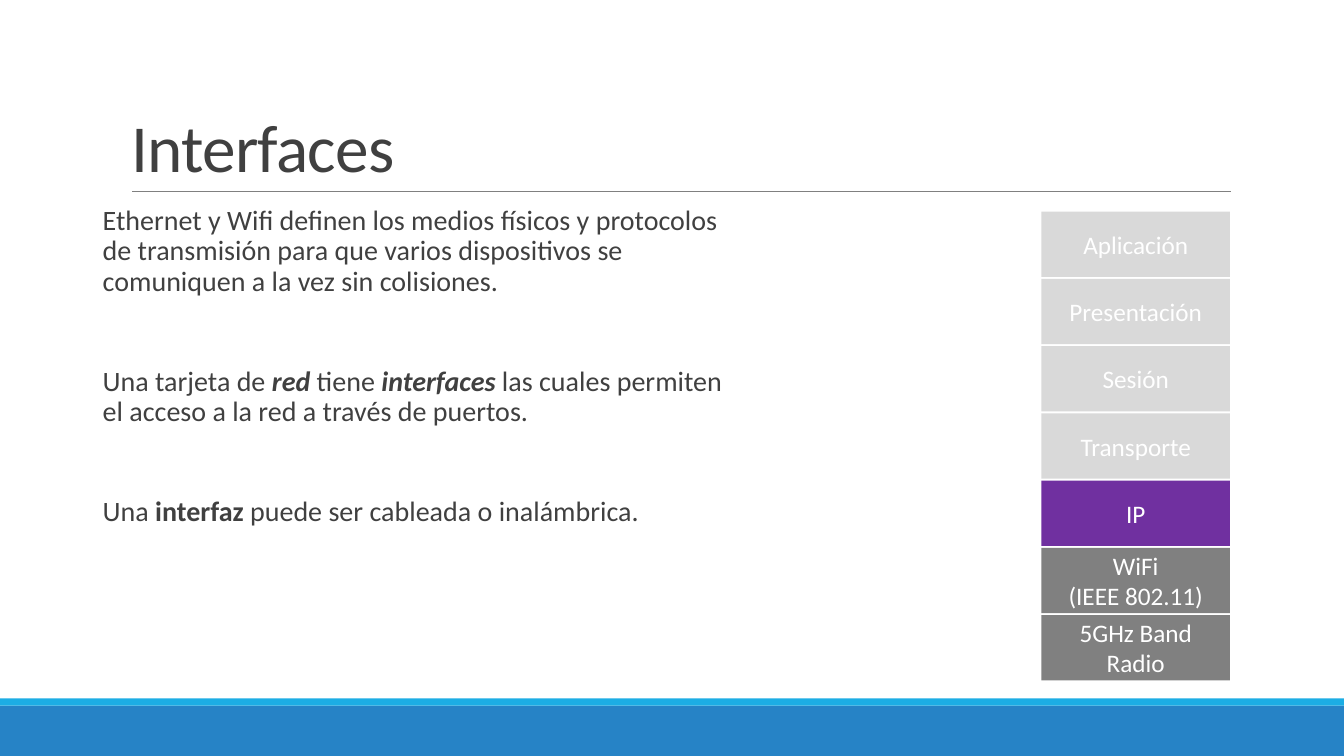
import pptx
import pptx.util
import pptx.dml.color
import pptx.enum.shapes
import pptx.enum.text
import pptx.oxml.ns
import lxml.etree

Inches = pptx.util.Inches
Pt = pptx.util.Pt
RGBColor = pptx.dml.color.RGBColor
ALIGN = pptx.enum.text.PP_ALIGN
ANCHOR = pptx.enum.text.MSO_ANCHOR

BLUE = RGBColor(0x26, 0x83, 0xC6)
CYAN = RGBColor(0x1C, 0xAD, 0xE4)
DARK = RGBColor(0x40, 0x40, 0x40)
GRAY = RGBColor(0x80, 0x80, 0x80)
PALE = RGBColor(0xD9, 0xD9, 0xD9)
PURPLE = RGBColor(0x70, 0x30, 0xA0)
WHITE = RGBColor(0xFF, 0xFF, 0xFF)
FONT = "Calibri"
WIDTH, HEIGHT = 13.33, 7.5

# Each run is its text, bold, italic
BODY = [
    [("Ethernet y Wifi definen los medios físicos y protocolos de transmisión "
      "para que varios dispositivos se comuniquen a la vez sin colisiones.", False, False)],
    [("Una tarjeta de ", False, False), ("red", True, True),
     (" tiene ", False, False), ("interfaces", True, True),
     (" las cuales permiten el acceso a la red a través de puertos.", False, False)],
    [("Una ", False, False), ("interfaz", True, False),
     (" puede ser cableada o inalámbrica.", False, False)],
]

LAYERS = [
    ("Aplicación", PALE),
    ("Presentación", PALE),
    ("Sesión", PALE),
    ("Transporte", PALE),
    ("IP", PURPLE),
    ("WiFi\n(IEEE 802.11)", GRAY),
    ("5GHz Band Radio", GRAY),
]


def style(para, size, color):
    para.font.name = FONT
    para.font.size = Pt(size)
    para.font.color.rgb = color


def add_rect(slide, left, top, width, height, color):
    rect = slide.shapes.add_shape(
        pptx.enum.shapes.MSO_SHAPE.RECTANGLE,
        Inches(left), Inches(top), Inches(width), Inches(height))
    rect.shadow.inherit = False
    rect.fill.solid()
    rect.fill.fore_color.rgb = color
    rect.line.fill.background()
    return rect


def add_bands(slide, top, thin):
    """Fill the foot of the slide: a thin strip above a thick one."""
    add_rect(slide, 0, top + thin, WIDTH, HEIGHT - top - thin, BLUE)
    add_rect(slide, 0, top, WIDTH, thin, CYAN)


def add_title(slide, left, top, width, height):
    """Set the title on the floor of its box, with a rule below it."""
    title = slide.shapes.title
    title.left, title.top = Inches(left), Inches(top)
    title.width, title.height = Inches(width), Inches(height)
    frame = title.text_frame
    frame.auto_size = pptx.enum.text.MSO_AUTO_SIZE.NONE
    frame.vertical_anchor = ANCHOR.BOTTOM
    para = frame.paragraphs[0]
    para.alignment = ALIGN.LEFT
    para.line_spacing = 0.85
    style(para, 48, DARK)
    run = para.add_run()
    run.text = "Interfaces"
    run._r.get_or_add_rPr().set("spc", "-50")

    floor = Inches(top + height)
    rule = slide.shapes.add_connector(
        pptx.enum.shapes.MSO_CONNECTOR.STRAIGHT,
        Inches(left + 0.11), floor, Inches(left + width + 0.01), floor)
    rule.line.color.rgb = GRAY
    rule.line.width = Pt(0.5)
    lxml.etree.SubElement(rule._element.spPr, pptx.oxml.ns.qn("a:effectLst"))


def add_body(slide, left, top, width, height):
    box = slide.shapes.add_textbox(
        Inches(left), Inches(top), Inches(width), Inches(height))
    frame = box.text_frame
    frame.word_wrap = True
    frame.margin_left, frame.margin_right = Inches(0.1), 0
    for index, parts in enumerate(BODY):
        para = frame.paragraphs[0] if index == 0 else frame.add_paragraph()
        para.line_spacing = 0.9
        para.space_before = Pt(50 if index else 0)
        style(para, 20, DARK)
        for text, bold, italic in parts:
            run = para.add_run()
            run.text = text
            run.font.bold = bold
            run.font.italic = italic


def add_stack(slide, left, top, width, height, gap):
    """Stack the network layers as equal tiles that fill the box."""
    tile = (height - gap * (len(LAYERS) - 1)) / len(LAYERS)
    for index, (label, color) in enumerate(LAYERS):
        rect = add_rect(slide, left, top + index * (tile + gap), width, tile, color)
        frame = rect.text_frame
        frame.vertical_anchor = ANCHOR.MIDDLE
        frame.text = label
        for para in frame.paragraphs:
            para.alignment = ALIGN.CENTER
            style(para, 18, WHITE)


def main():
    deck = pptx.Presentation()
    deck.slide_width, deck.slide_height = Inches(WIDTH), Inches(HEIGHT)
    slide = deck.slides.add_slide(deck.slide_layouts.get_by_name("Title Only"))
    add_bands(slide, 6.93, 0.07)
    add_title(slide, 1.2, 0.31, 11, 1.59)
    add_body(slide, 0.92, 2, 6.48, 4.76)
    add_stack(slide, 10.33, 2.1, 1.87, 4.65, 0.02)
    deck.save("out.pptx")


if __name__ == "__main__":
    main()
